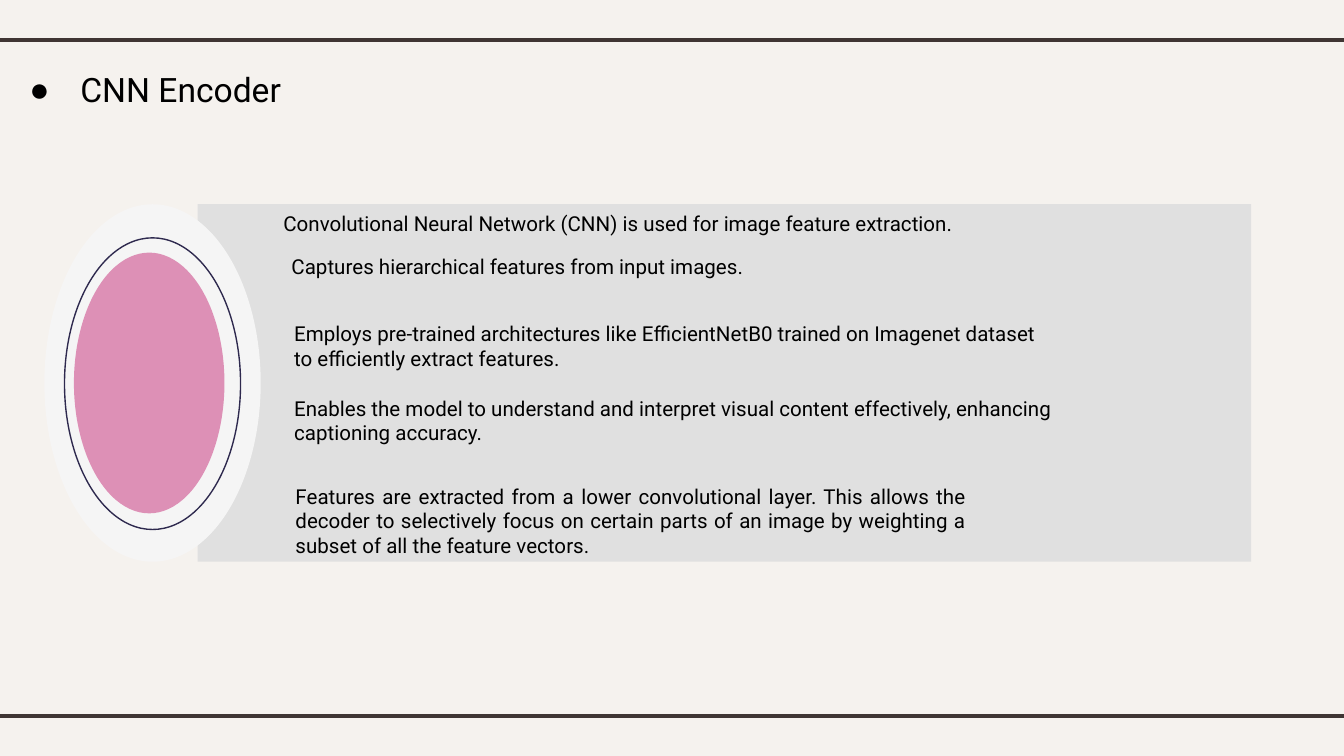
"""Build the CNN Encoder slide."""
from dataclasses import dataclass

from lxml.etree import SubElement
from pptx import Presentation
from pptx.dml.color import RGBColor
from pptx.enum.shapes import MSO_CONNECTOR, MSO_SHAPE
from pptx.enum.text import MSO_ANCHOR, PP_ALIGN
from pptx.oxml.ns import qn
from pptx.util import Inches, Pt


@dataclass(frozen=True)
class Theme:
    background: RGBColor = RGBColor.from_string("F5F2EE")
    rule: RGBColor = RGBColor.from_string("3F3533")
    text: RGBColor = RGBColor.from_string("000000")
    panel: RGBColor = RGBColor.from_string("E0E0E0")
    halo: RGBColor = RGBColor.from_string("F5F5F5")
    ring: RGBColor = RGBColor.from_string("2E294E")
    core: RGBColor = RGBColor.from_string("DD90B6")
    font: str = "Roboto"
    bullet_font: str = "Arial"
    heading_size: Pt = Pt(18)
    body_size: Pt = Pt(11)


theme = Theme()


def add_text(slide, box, paragraphs, size, inset=0.05, **paragraph_format):
    frame = slide.shapes.add_textbox(*map(Inches, box)).text_frame
    frame_format = {
        "word_wrap": True,
        "margin_left": Inches(0.1),
        "margin_right": Inches(0.1),
        "margin_top": Inches(inset),
        "margin_bottom": Inches(inset),
    }
    for key, value in frame_format.items():
        setattr(frame, key, value)
    for index, content in enumerate(paragraphs):
        paragraph = frame.add_paragraph() if index else frame.paragraphs[0]
        run = paragraph.add_run()
        run.text = content
        for key, value in {"name": theme.font, "size": size}.items():
            setattr(run.font, key, value)
        run.font.color.rgb = theme.text
        if index:
            paragraph.space_before = Pt(13.5)
        for key, value in paragraph_format.items():
            setattr(paragraph, key, value)
    return frame


presentation = Presentation()
presentation.slide_width = Inches(10)
presentation.slide_height = Inches(10 * 9 / 16)
slide = presentation.slides.add_slide(presentation.slide_layouts[6])
slide.background.fill.solid()
slide.background.fill.fore_color.rgb = theme.background

for height in (0.3, 5.33):
    rule = slide.shapes.add_connector(
        MSO_CONNECTOR.STRAIGHT, Inches(0), Inches(height), Inches(10), Inches(height)
    )
    rule.line.color.rgb = theme.rule
    rule.line.width = Pt(2.25)
    SubElement(rule._element.spPr, qn("a:effectLst"))

heading = add_text(
    slide, (0, 0.37, 3.33, 0.62), ["CNN Encoder"], theme.heading_size, 0.1, line_spacing=1.15
)
heading_properties = heading.paragraphs[0]._p.get_or_add_pPr()
heading_properties.set("marL", str(Inches(0.5)))
heading_properties.set("indent", str(Inches(-0.38)))
bullet_color = SubElement(heading_properties, qn("a:buClr"))
SubElement(bullet_color, qn("a:srgbClr"), val=str(theme.text))
SubElement(heading_properties, qn("a:buFont"), typeface=theme.bullet_font)
SubElement(heading_properties, qn("a:buChar"), char="●")

for preset, box, fill, outline in (
    (MSO_SHAPE.RECTANGLE, (1.47, 1.52, 7.84, 2.66), theme.panel, None),
    (MSO_SHAPE.OVAL, (0.33, 1.52, 1.61, 2.66), theme.halo, None),
    (MSO_SHAPE.OVAL, (0.48, 1.77, 1.31, 2.17), None, theme.ring),
    (MSO_SHAPE.OVAL, (0.55, 1.88, 1.12, 1.94), theme.core, None),
):
    figure = slide.shapes.add_shape(preset, *map(Inches, box))
    figure.shadow.inherit = False
    if fill:
        figure.fill.solid()
        figure.fill.fore_color.rgb = fill
    else:
        figure.fill.background()
    if outline:
        figure.line.color.rgb = outline
        figure.line.width = Pt(0.75)
    else:
        figure.line.fill.background()

add_text(
    slide,
    (2.01, 1.52, 5.25, 0.29),
    ["Convolutional Neural Network (CNN) is used for image feature extraction."],
    theme.body_size,
)
add_text(
    slide,
    (2.09, 2.34, 5.87, 1.26),
    [
        "Employs pre-trained architectures like EfficientNetB0 trained on Imagenet dataset "
        "to efficiently extract features.",
        "Enables the model to understand and interpret visual content effectively, "
        "enhancing captioning accuracy.",
    ],
    theme.body_size,
)
add_text(
    slide,
    (2.1, 3.55, 5.19, 1.08),
    [
        "Features are extracted from a lower convolutional layer. This allows the decoder "
        "to selectively focus on certain parts of an image by weighting a subset of all "
        "the feature vectors."
    ],
    theme.body_size,
    alignment=PP_ALIGN.JUSTIFY,
)
hierarchy = add_text(
    slide,
    (2.07, 1.81, 4.93, 0.34),
    ["Captures hierarchical features from input images."],
    theme.body_size,
    0.1,
)
hierarchy.vertical_anchor = MSO_ANCHOR.MIDDLE

presentation.save("out.pptx")
